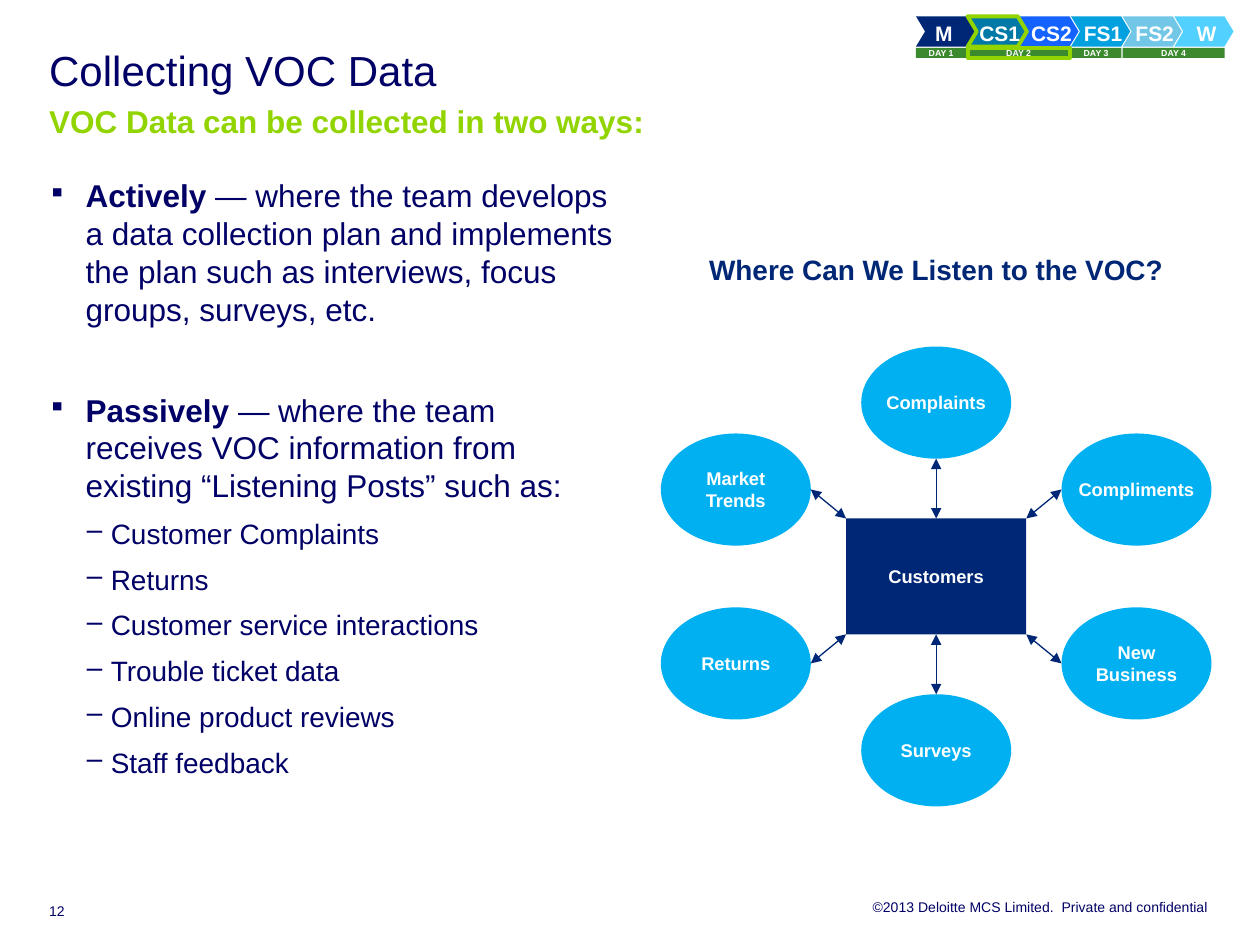
import pptx
import pptx.util
import pptx.dml.color
import pptx.enum.shapes
import pptx.enum.text
import pptx.oxml
import pptx.oxml.ns

Inches, Pt = pptx.util.Inches, pptx.util.Pt
Shape = pptx.enum.shapes.MSO_SHAPE
Anchor = pptx.enum.text.MSO_ANCHOR
Align = pptx.enum.text.PP_ALIGN

THEME = {
    "font": "Arial",
    "ink": "000066", "navy": "002776", "lime": "92D400", "sky": "00B0F0",
    "day": "3C8A2E", "white": "FFFFFF",
    "title": 24, "lead": 18, "item": 16, "node": 10.5, "step": 12,
    "small": 8, "tiny": 5,
}

TITLE = ("Collecting VOC Data", "VOC Data can be collected in two ways:")
# level, bold start, rest, space before in points
BODY = [
    (1, "Actively", " — where the team develops a data collection plan and "
     "implements the plan such as interviews, focus groups, surveys, etc.", 0),
    (1, "Passively", " — where the team receives VOC information from "
     "existing “Listening Posts” such as:", 32),
] + [(2, "", item, 3) for item in (
    "Customer Complaints", "Returns", "Customer service interactions",
    "Trouble ticket data", "Online product reviews", "Staff feedback")]
# mark, mark size in percent, left, hang, text size
LEVELS = {1: ("▪", 80, 0.3, 0.3, "lead"), 2: ("–", 100, 0.5, 0.19, "item")}

HEADING = "Where Can We Listen to the VOC?"
HUB = "Customers"
# name, side (-1 left, 1 right), row (-1 above, 1 below)
POSTS = [
    ("Compliments", 1, -1), ("New Business", 1, 1), ("Surveys", 0, 1),
    ("Returns", -1, 1), ("Market Trends", -1, -1), ("Complaints", 0, -1),
]

STEPS = [("M", "002776"), ("CS1", "0079A6"), ("CS2", "1462FF"),
         ("FS1", "00A1DE"), ("FS2", "72C7E7"), ("W", "52D0FF")]
# name, first step, number of steps
DAYS = [("DAY 1", 0, 1), ("DAY 2", 1, 2), ("DAY 3", 3, 1), ("DAY 4", 4, 2)]
NOW = ("CS1", "DAY 2")

FOOTER = "©2013 Deloitte MCS Limited.  Private and confidential"
PAGE = "12"


def color(name):
    return pptx.dml.color.RGBColor.from_string(THEME.get(name, name))


def style(font, size, ink, bold=False):
    font.name, font.size, font.bold = THEME["font"], Pt(THEME[size]), bold
    font.color.rgb = color(ink)


def setup(frame, anchor=Anchor.TOP, pad=(0, 0, 0, 0), wrap=True):
    frame.auto_size = pptx.enum.text.MSO_AUTO_SIZE.NONE
    frame.word_wrap, frame.vertical_anchor = wrap, anchor
    (frame.margin_left, frame.margin_top,
     frame.margin_right, frame.margin_bottom) = map(Inches, pad)


def write(frame, text, size, ink, bold=False, align=Align.LEFT):
    frame.text = text
    para = frame.paragraphs[0]
    para.alignment = align
    style(para.runs[0].font, size, ink, bold)
    return para


def box(slide, place):
    return slide.shapes.add_textbox(*map(Inches, place)).text_frame


def block(slide, kind, place, fill, edge=None):
    """Add a filled shape, outlined only when an edge colour is given."""
    shape = slide.shapes.add_shape(kind, *map(Inches, place))
    shape.shadow.inherit = False
    shape.fill.solid()
    shape.fill.fore_color.rgb = color(fill)
    if edge:
        shape.line.color.rgb = color(edge)
        shape.line.width = Pt(2.25)
    else:
        shape.line.fill.background()
    return shape


def bullet(para, mark, scale, left, hang):
    props = para._p.get_or_add_pPr()
    props.set("marL", str(Inches(left)))
    props.set("indent", str(-Inches(hang)))
    qn = pptx.oxml.ns.qn
    size = {"val": str(scale * 1000)}
    props.append(props.makeelement(qn("a:buSzPct"), size))
    props.append(props.makeelement(qn("a:buChar"), {"char": mark}))


def arrow(slide, start, end):
    line = slide.shapes.add_connector(
        pptx.enum.shapes.MSO_CONNECTOR.STRAIGHT,
        *map(Inches, (*start, *end)))
    line.line.color.rgb = color("navy")
    line.line.width = Pt(0.75)
    props = line._element.spPr
    qn = pptx.oxml.ns.qn
    stroke = props.find(qn("a:ln"))
    for tag in ("a:headEnd", "a:tailEnd"):
        stroke.append(stroke.makeelement(qn(tag), {"type": "triangle"}))
    props.append(props.makeelement(qn("a:effectLst"), {}))


def add_track(slide):
    left, pitch = 7.27, 0.41
    order = sorted(enumerate(STEPS), key=lambda step: step[1][0] in NOW)
    for i, (name, fill) in order:
        first = i == 0
        shape = block(slide, Shape.CHEVRON, (left + i * pitch, 0.13, 0.47, 0.24),
                      fill, "lime" if name in NOW else None)
        shape.adjustments[0] = 0.3
        pad = (0.08, 0.06, 0, 0.06) if first else (0.2, 0.06, 0.16, 0.06)
        setup(shape.text_frame, Anchor.MIDDLE, pad, wrap=False)
        para = write(shape.text_frame, name, "step", "white", True,
                     Align.LEFT if first else Align.CENTER)
        para.line_spacing = 1.1
    for name, start, count in sorted(DAYS, key=lambda day: day[0] in NOW):
        place = (left + start * pitch, 0.38, count * pitch - 0.01, 0.08)
        shape = block(slide, Shape.RECTANGLE, place, "day",
                      "lime" if name in NOW else None)
        setup(shape.text_frame, pad=(0.04, 0, 0.04, 0))
        write(shape.text_frame, name, "tiny", "white", True, Align.CENTER)


def add_title(slide):
    title = slide.shapes.title
    title.left, title.top, title.width, title.height = map(
        Inches, (0.39, 0.39, 9.21, 0.69))
    setup(title.text_frame)
    para = title.text_frame.paragraphs[0]
    para.text = "\v".join(TITLE)
    para.alignment, para.line_spacing = Align.LEFT, Pt(26)
    head, sub = para.runs
    style(head.font, "title", "ink")
    style(sub.font, "lead", "lime", True)


def add_body(slide):
    frame = box(slide, (0.38, 1.4, 4.51, 5.49))
    setup(frame)
    for i, (level, lead, rest, gap) in enumerate(BODY):
        para = frame.add_paragraph() if i else frame.paragraphs[0]
        *mark, size = LEVELS[level]
        bullet(para, *mark)
        para.space_before, para.space_after = Pt(gap), Pt(4)
        for text, bold in ((lead, True), (rest, False)):
            if text:
                run = para.add_run()
                run.text = text
                style(run.font, size, "ink", bold)


def add_map(slide):
    mid_x, mid_y = 7.43, 4.575
    hub_w, hub_h = 1.43, 0.92
    post_w, post_h = 1.19, 0.89

    def node(kind, name, x, y, w, h, fill):
        shape = block(slide, kind, (x - w / 2, y - h / 2, w, h), fill)
        setup(shape.text_frame, Anchor.MIDDLE, wrap=" " in name)
        write(shape.text_frame, name, "node", "white", True, Align.CENTER)

    node(Shape.RECTANGLE, HUB, mid_x, mid_y, hub_w, hub_h, "navy")
    for name, side, row in POSTS:
        x = mid_x + side * 1.59
        y = mid_y + row * (0.69 if side else 1.38)
        node(Shape.OVAL, name, x, y, post_w, post_h, "sky")
        near = (x - side * post_w / 2, y if side else y - row * post_h / 2)
        arrow(slide, (mid_x + side * hub_w / 2, mid_y + row * hub_h / 2), near)

    frame = box(slide, (5.24, 1.85, 4.38, 0.46))
    setup(frame, Anchor.BOTTOM, (0, 0, 0, 0.04))
    write(frame, HEADING, "item", "navy", True, Align.CENTER)


def add_footer(slide):
    for text, place, align in (
            (FOOTER, (3.4, 7.13, 6.19, 0.13), Align.RIGHT),
            (PAGE, (0.39, 7.16, 0.39, 0.13), Align.LEFT)):
        frame = box(slide, place)
        setup(frame)
        write(frame, text, "small", "ink", align=align)


def main():
    deck = pptx.Presentation()
    deck.slide_width, deck.slide_height = Inches(10), Inches(7.5)
    slide = deck.slides.add_slide(deck.slide_layouts[5])
    for add in (add_track, add_title, add_body, add_map, add_footer):
        add(slide)
    deck.save("out.pptx")


if __name__ == "__main__":
    main()
